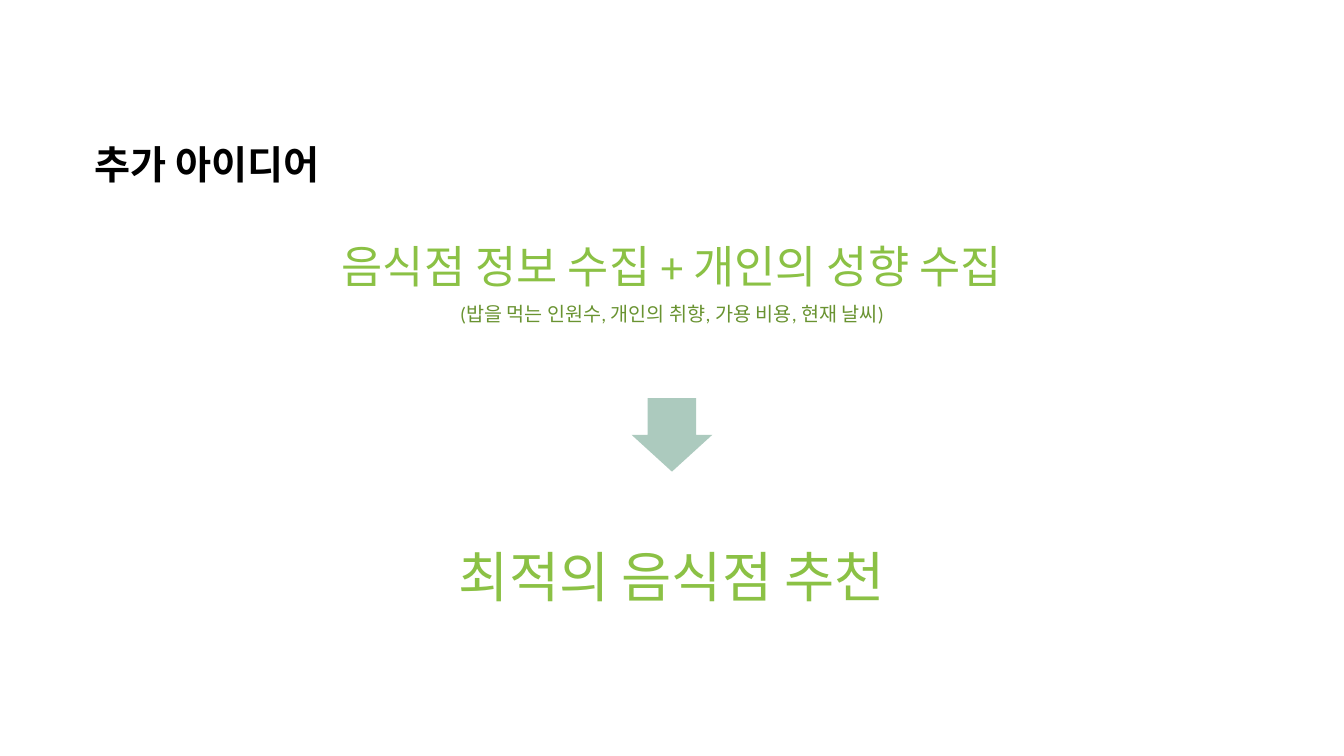
from dataclasses import dataclass
from pptx import Presentation
from pptx.dml.color import RGBColor as RGB
from pptx.enum.shapes import MSO_SHAPE as SHAPE
from pptx.enum.text import MSO_ANCHOR as ANCHOR, MSO_AUTO_SIZE as FIT, PP_ALIGN as ALIGN
from pptx.util import Pt


@dataclass(frozen=True)
class Theme:
    font: str = "Calibri"
    black: RGB = RGB(0x00, 0x00, 0x00)
    green: RGB = RGB(0x8B, 0xC1, 0x45)
    dark_green: RGB = RGB(0x69, 0x93, 0x31)
    arrow: RGB = RGB(0xAC, 0xCA, 0xBE)
    title_size: int = 28
    input_size: int = 32
    detail_size: int = 14
    result_size: int = 39


THEME = Theme()
SLIDE_W, SLIDE_H = 960, 540


def style(p, size, color, bold=False):
    p.font.name = THEME.font
    p.font.size = Pt(size)
    p.font.bold = bold
    p.font.color.rgb = color


def centered(top, width, height):
    return [Pt(v) for v in ((SLIDE_W - width) / 2, top, width, height)]


def add_title(s, text):
    sp = s.shapes.title
    sp.left, sp.top, sp.width, sp.height = Pt(60.5), Pt(96.5), Pt(318), Pt(41)
    tf = sp.text_frame
    tf.text = text
    tf.auto_size = FIT.SHAPE_TO_FIT_TEXT
    tf.vertical_anchor = ANCHOR.TOP
    p = tf.paragraphs[0]
    p.alignment = ALIGN.LEFT
    p.line_spacing = 1
    style(p, THEME.title_size, THEME.black, bold=True)


def add_step(s, top, width, inset, lines):
    tf = s.shapes.add_textbox(*centered(top, width, 132)).text_frame
    tf.word_wrap = True
    tf.vertical_anchor = ANCHOR.MIDDLE
    tf.margin_left = tf.margin_right = tf.margin_top = tf.margin_bottom = Pt(inset)
    tf.text = "\n".join(text for text, size, color in lines)
    for p, (text, size, color) in zip(tf.paragraphs, lines):
        p.alignment = ALIGN.CENTER
        p.line_spacing = 0.9
        p.space_after = Pt(8)
        style(p, size, color)


def add_arrow(s):
    sp = s.shapes.add_shape(SHAPE.DOWN_ARROW, *centered(284.4, 57.6, 52.5))
    sp.adjustments[0], sp.adjustments[1] = 0.6, 0.5
    sp.shadow.inherit = False
    sp.fill.solid()
    sp.fill.fore_color.rgb = THEME.arrow
    sp.line.fill.background()


def main():
    prs = Presentation()
    prs.slide_width, prs.slide_height = Pt(SLIDE_W), Pt(SLIDE_H)
    s = prs.slides.add_slide(prs.slide_layouts[5])
    add_title(s, "추가 아이디어")
    add_step(s, 138, 632, 9.6, [
        ("음식점 정보 수집 + 개인의 성향 수집", THEME.input_size, THEME.green),
        ("(밥을 먹는 인원수, 개인의 취향, 가용 비용, 현재 날씨)",
         THEME.detail_size, THEME.dark_green),
    ])
    add_arrow(s)
    add_step(s, 348, 356, 11.7, [
        ("최적의 음식점 추천", THEME.result_size, THEME.green),
    ])
    prs.save("out.pptx")


main()
